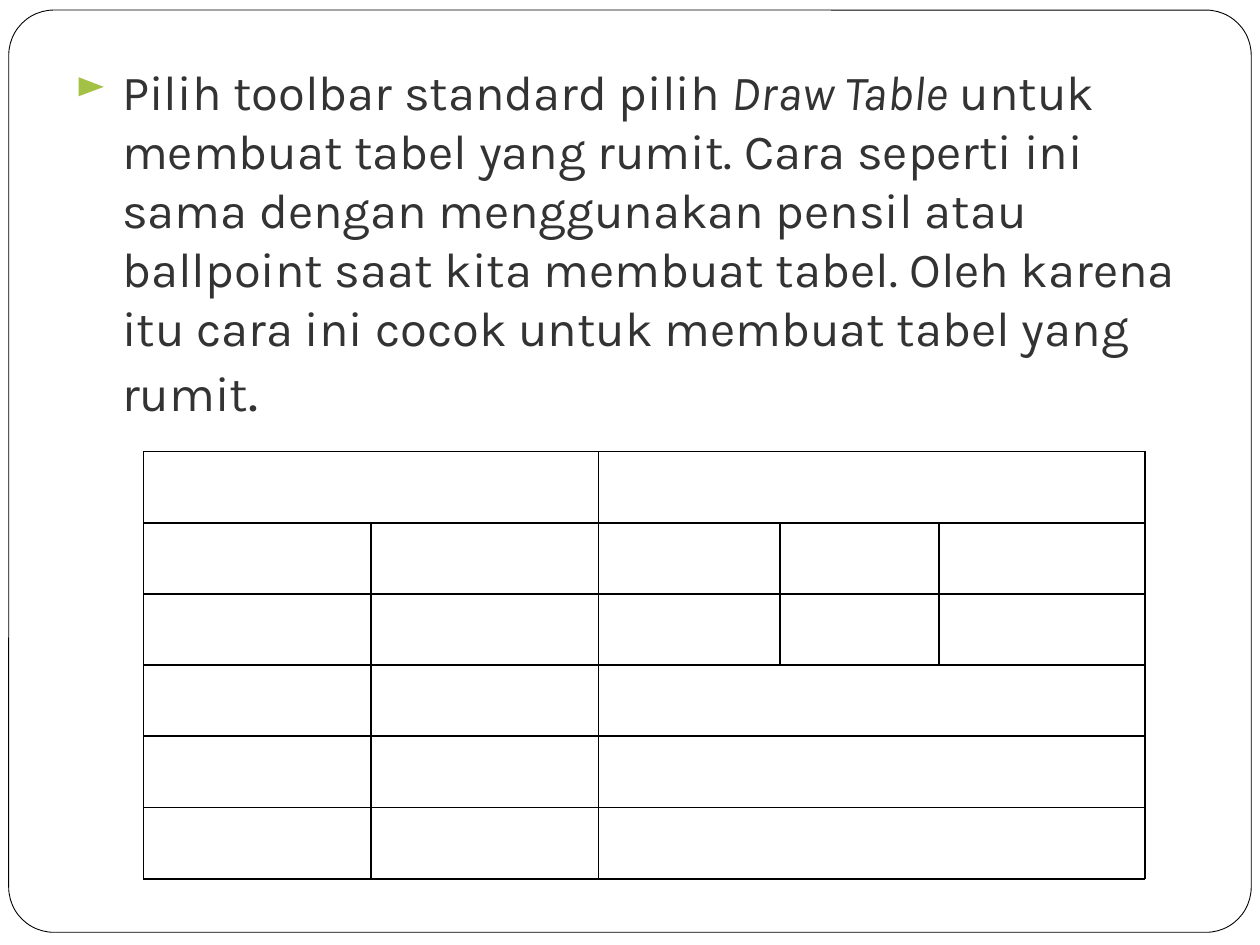
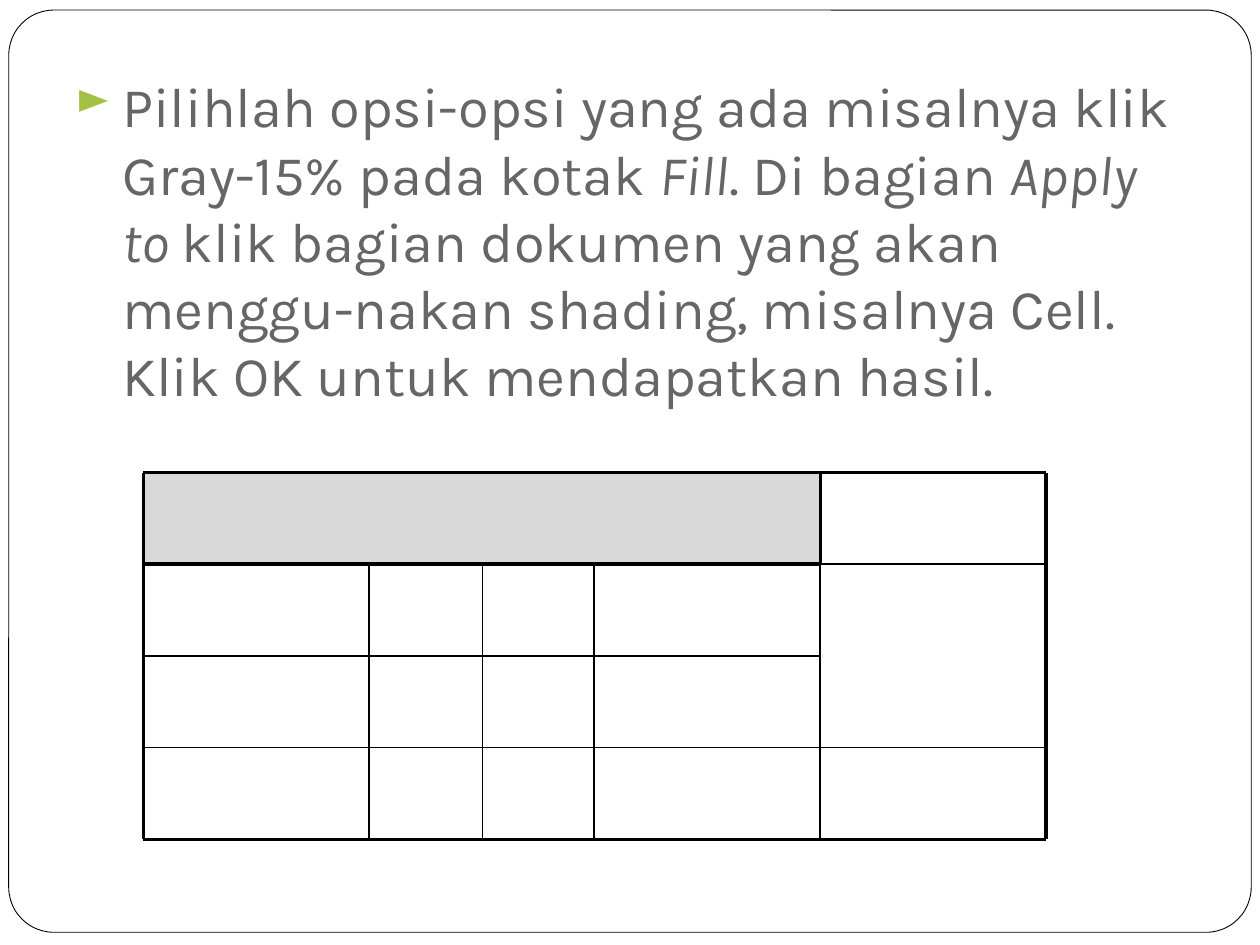
from lxml.etree import SubElement
from pptx import Presentation
from pptx.dml.color import RGBColor
from pptx.enum.shapes import MSO_CONNECTOR, MSO_SHAPE
from pptx.enum.text import MSO_AUTO_SIZE
from pptx.oxml.ns import qn
from pptx.util import Pt


def color(code):
    return RGBColor.from_string(code)


class Deck:
    font = "Karla"
    ink = "000000"
    paper = "FFFFFF"
    green = "A3C145"
    gray = "D9D9D9"
    indent = 26.75

    def __init__(self):
        self.file = Presentation()
        self.file.slide_width, self.file.slide_height = Pt(720), Pt(540)
        self.slide = None

    def page(self):
        """Start a slide with the rounded frame."""
        self.slide = self.file.slides.add_slide(self.file.slide_layouts[6])
        self.box(self.slide, 5, 5.75, 710, 527, self.paper, 0.049, 0.5)

    def group(self):
        return self.slide.shapes.add_group_shape()

    def box(self, host, left, top, width, height, fill, round_by, line=0):
        shape = host.shapes.add_shape(MSO_SHAPE.ROUNDED_RECTANGLE,
                                      Pt(left), Pt(top), Pt(width), Pt(height))
        shape.adjustments[0] = round_by
        shape.shadow.inherit = False
        shape.fill.solid()
        shape.fill.fore_color.rgb = color(fill)
        if line:
            shape.line.color.rgb = color(self.ink)
            shape.line.width = Pt(line)
        else:
            shape.line.fill.background()

    def bullet(self, top, height, ink, runs):
        """Bulleted text; each run is (text, size, italic)."""
        shape = self.slide.shapes.add_textbox(Pt(36), Pt(top), Pt(648), Pt(height))
        frame = shape.text_frame
        frame.word_wrap = True
        frame.auto_size = MSO_AUTO_SIZE.SHAPE_TO_FIT_TEXT
        para = frame.paragraphs[0]
        para.space_before = Pt(8)
        for text, size, slant in runs:
            run = para.add_run()
            run.text = text
            run.font.name = self.font
            run.font.size = Pt(size)
            run.font.italic = slant
            run.font.color.rgb = color(ink)
        props = para._p.get_or_add_pPr()
        props.set("marL", str(Pt(self.indent)))
        props.set("indent", str(-Pt(self.indent)))
        tint = SubElement(props, qn("a:buClr"))
        SubElement(tint, qn("a:srgbClr"), val=self.green)
        SubElement(props, qn("a:buSzPct"), val="80000")
        SubElement(props, qn("a:buChar"), char="►")

    def rule(self, host, x1, y1, x2, y2, width=1):
        line = host.shapes.add_connector(MSO_CONNECTOR.STRAIGHT,
                                         Pt(x1), Pt(y1), Pt(x2), Pt(y2))
        line.line.color.rgb = color(self.ink)
        line.line.width = Pt(width)
        SubElement(line._element.spPr, qn("a:effectLst"))

    def grid(self, host, cols, rows, lines):
        """Rules between grid points: (col, row, col, row, width)."""
        for c1, r1, c2, r2, width in lines:
            self.rule(host, cols[c1], rows[r1], cols[c2], rows[r2], width)


def draw_table(deck):
    deck.page()
    deck.bullet(31.75, 260.5, "333333", [
        ("Pilih toolbar standard pilih ", 28, False),
        ("Draw Table", 28, True),
        (" untuk membuat tabel yang rumit. Cara seperti ini sama dengan "
         "menggunakan pensil atau ballpoint saat kita membuat tabel. Oleh "
         "karena itu cara ini cocok untuk membuat tabel yang rumit", 28, False),
        (".", 32, False),
    ])
    # Six equal rows; the columns split below the first row
    cols = [82, 212, 342, 445.75, 536.5, 654.5]
    rows = [258 + 40.7 * i for i in range(7)]
    across = [(0, i, 5, i, 1) for i in range(7)]
    spans = [(0, 6), (1, 6), (0, 6), (1, 3), (1, 3), (0, 6)]
    down = [(i, top, i, end, 1) for i, (top, end) in enumerate(spans)]
    deck.grid(deck.group(), cols, rows, across + down)


def shading(deck):
    deck.page()
    deck.bullet(37.5, 245.5, "666666", [
        ("Pilihlah opsi-opsi yang ada misalnya klik Gray-15% pada kotak ", 32, False),
        ("Fill", 32, True),
        (". Di bagian ", 32, False),
        ("Apply to", 32, True),
        (" klik bagian dokumen yang akan menggu-nakan shading, misalnya Cell. "
         "Klik OK untuk mendapatkan hasil.", 32, False),
    ])
    # Four equal rows with a shaded head cell
    cols = [82, 211, 275.75, 339.25, 468.75, 597.75]
    rows = [270 + 52.4 * i for i in range(5)]
    host = deck.group()
    deck.box(host, cols[0], rows[0], cols[4] - cols[0], rows[1] - rows[0],
             deck.gray, 0.002)
    # Heavy rules: outline and head cell
    heavy = [(0, 0, 5, 0, 2), (0, 4, 5, 4, 2), (0, 0, 0, 4, 2),
             (5, 0, 5, 4, 2), (0, 1, 4, 1, 2), (4, 0, 4, 1, 2)]
    # Thin rules: inner cells
    thin = [(4, 1, 5, 1, 1), (0, 2, 4, 2, 1), (0, 3, 5, 3, 1)]
    thin += [(i, 1, i, 4, 1) for i in range(1, 5)]
    deck.grid(host, cols, rows, heavy + thin)


def main():
    deck = Deck()
    draw_table(deck)
    shading(deck)
    deck.file.save("out.pptx")


if __name__ == "__main__":
    main()
